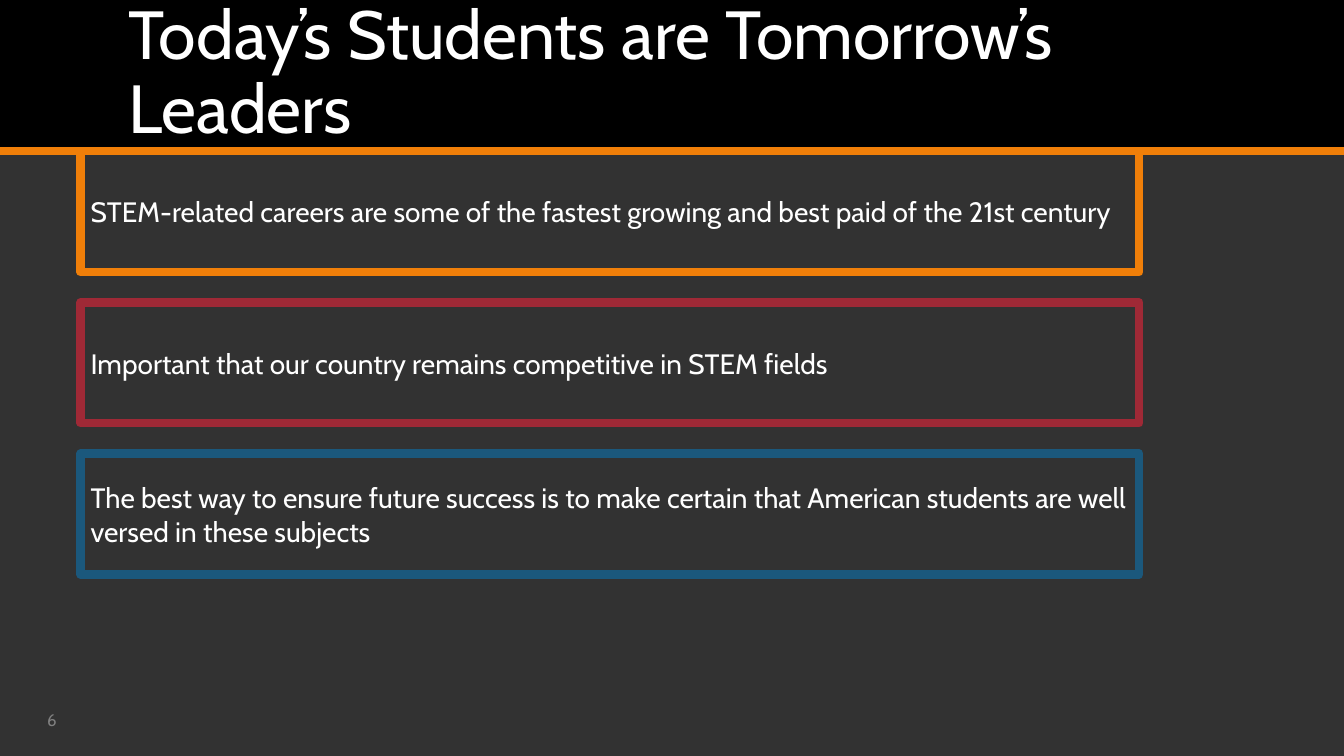
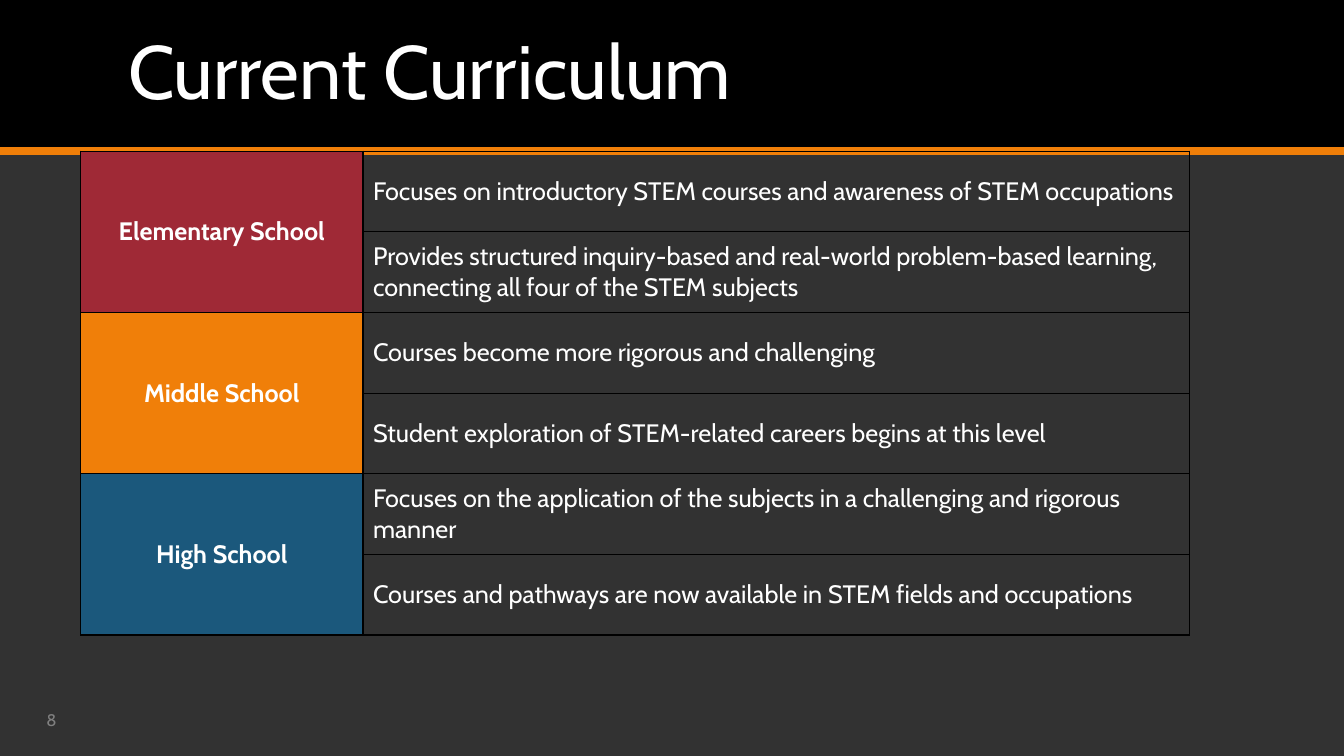
import lxml.etree
import pptx
import pptx.dml.color
import pptx.enum.shapes
import pptx.enum.text
import pptx.oxml.ns
import pptx.util

PX = 9144
PAGE_WIDTH, PAGE_HEIGHT = 1333, 750
BAND_HEIGHT = 150
CONTENT_LEFT = 80
FONT = "Cabin"
WHITE, BLACK, GRAY, DARK = "FFFFFF", "000000", "808080", "323232"
ORANGE, RED, BLUE = "F07F09", "9F2936", "1B587C"
ALIGN = pptx.enum.text.PP_ALIGN
RECTANGLE = pptx.enum.shapes.MSO_SHAPE.RECTANGLE

STATEMENTS = [
    ("STEM-related careers are some of the fastest growing and best paid of the 21st century", ORANGE),
    ("Important that our country remains competitive in STEM fields", RED),
    ("The best way to ensure future success is to make certain that American students are well "
     "versed in these subjects", BLUE),
]

CURRICULUM = [
    ("Elementary School", RED, [
        "Focuses on introductory STEM courses and awareness of STEM occupations",
        "Provides structured inquiry-based and real-world problem-based learning, "
        "connecting all four of the STEM subjects",
    ]),
    ("Middle School", ORANGE, [
        "Courses become more rigorous and challenging",
        "Student exploration of STEM-related careers begins at this level",
    ]),
    ("High School", BLUE, [
        "Focuses on the application of the subjects in a challenging and rigorous manner",
        "Courses and pathways are now available in STEM fields and occupations",
    ]),
]


def emu(*lengths):
    return [pptx.util.Emu(length * PX) for length in lengths]


def paint(color_format, color):
    color_format.rgb = pptx.dml.color.RGBColor.from_string(color)


def fill_with(fill, color):
    if color is None:
        fill.background()
    else:
        fill.solid()
        paint(fill.fore_color, color)


def write(frame, text, size=20, color=WHITE, bold=False, align=ALIGN.LEFT, spacing=None):
    frame.word_wrap = True
    frame.vertical_anchor = pptx.enum.text.MSO_ANCHOR.MIDDLE
    para = frame.paragraphs[0]
    para.alignment = align
    para.line_spacing = spacing
    span = para.add_run()
    span.text = text
    span.font.name = FONT
    span.font.size = pptx.util.Pt(size)
    span.font.bold = bold
    paint(span.font.color, color)


def add_cell_borders(cell, color, points):
    properties = cell._tc.get_or_add_tcPr()
    qualified = pptx.oxml.ns.qn
    for side in ("a:lnL", "a:lnR", "a:lnT", "a:lnB"):
        border = lxml.etree.SubElement(properties, qualified(side), w=str(pptx.util.Pt(points)))
        solid = lxml.etree.SubElement(border, qualified("a:solidFill"))
        lxml.etree.SubElement(solid, qualified("a:srgbClr"), val=color)


class Presenter:
    def __init__(self):
        self.deck = pptx.Presentation()
        self.deck.slide_width, self.deck.slide_height = emu(PAGE_WIDTH, PAGE_HEIGHT)
        fill_with(self.deck.slide_master.background.fill, DARK)
        self.layout = self.deck.slide_layouts[5]
        self.page = None

    def start_page(self, title, number, title_size=54):
        first = self.page is None
        self.page = self.deck.slides.add_slide(self.layout)
        if first:
            self.share_band()
        heading = self.page.shapes.title
        heading.left, heading.top, heading.width, heading.height = emu(117, 14, 1100, 120)
        heading.text_frame.auto_size = pptx.enum.text.MSO_AUTO_SIZE.NONE
        write(heading.text_frame, title, size=title_size, spacing=0.9)
        footer = self.page.shapes.add_textbox(*emu(9, 699, 57, 30))
        write(footer.text_frame, str(number), size=12, color=GRAY, align=ALIGN.RIGHT)

    def share_band(self):
        band = self.rectangle(0, 0, PAGE_WIDTH, BAND_HEIGHT, fill=BLACK)
        rule = self.line(0, BAND_HEIGHT, PAGE_WIDTH, BAND_HEIGHT, ORANGE, 6)
        tree = self.layout.shapes._spTree
        for position, shape in enumerate((band, rule), start=2):
            tree.insert(position, shape._element)

    def rectangle(self, left, top, width, height, fill=None, outline=None, points=6):
        box = self.page.shapes.add_shape(RECTANGLE, *emu(left, top, width, height))
        box.shadow.inherit = False
        fill_with(box.fill, fill)
        fill_with(box.line.fill, outline)
        if outline:
            box.line.width = pptx.util.Pt(points)
        return box

    def line(self, start_x, start_y, end_x, end_y, color, points):
        straight = pptx.enum.shapes.MSO_CONNECTOR.STRAIGHT
        connector = self.page.shapes.add_connector(straight, *emu(start_x, start_y, end_x, end_y))
        paint(connector.line.color, color)
        connector.line.width = pptx.util.Pt(points)
        lxml.etree.SubElement(connector._element.spPr, pptx.oxml.ns.qn("a:effectLst"))
        return connector

    def statement(self, top, text, color):
        box = self.rectangle(CONTENT_LEFT, top, 1050, 120, outline=color)
        write(box.text_frame, text)

    def grouped_table(self, left, top, column_widths, row_height, groups):
        row_count = sum(len(details) for _, _, details in groups)
        table = self.page.shapes.add_table(
            row_count, len(column_widths),
            *emu(left, top, sum(column_widths), row_height * row_count)).table
        table.first_row = table.horz_banding = False
        for column, width in zip(table.columns, emu(*column_widths)):
            column.width = width
        for cell in table.iter_cells():
            add_cell_borders(cell, BLACK, 1)
            fill_with(cell.fill, None)
        row = 0
        for name, color, details in groups:
            header = table.cell(row, 0)
            header.merge(table.cell(row + len(details) - 1, 0))
            fill_with(header.fill, color)
            self.fill_cell(header, name, bold=True, align=ALIGN.CENTER)
            for detail in details:
                self.fill_cell(table.cell(row, 1), detail)
                row += 1

    def fill_cell(self, cell, text, **style):
        write(cell.text_frame, text, size=18, **style)
        cell.vertical_anchor = pptx.enum.text.MSO_ANCHOR.MIDDLE


def main():
    presenter = Presenter()
    presenter.start_page("Today’s Students are Tomorrow’s Leaders", 6, title_size=48.6)
    for index, (text, color) in enumerate(STATEMENTS):
        presenter.statement(BAND_HEIGHT + 150 * index, text, color)

    presenter.start_page("Current Curriculum", 8)
    presenter.grouped_table(CONTENT_LEFT, BAND_HEIGHT, [280, 820], 80, CURRICULUM)
    presenter.deck.save("out.pptx")


if __name__ == "__main__":
    main()
